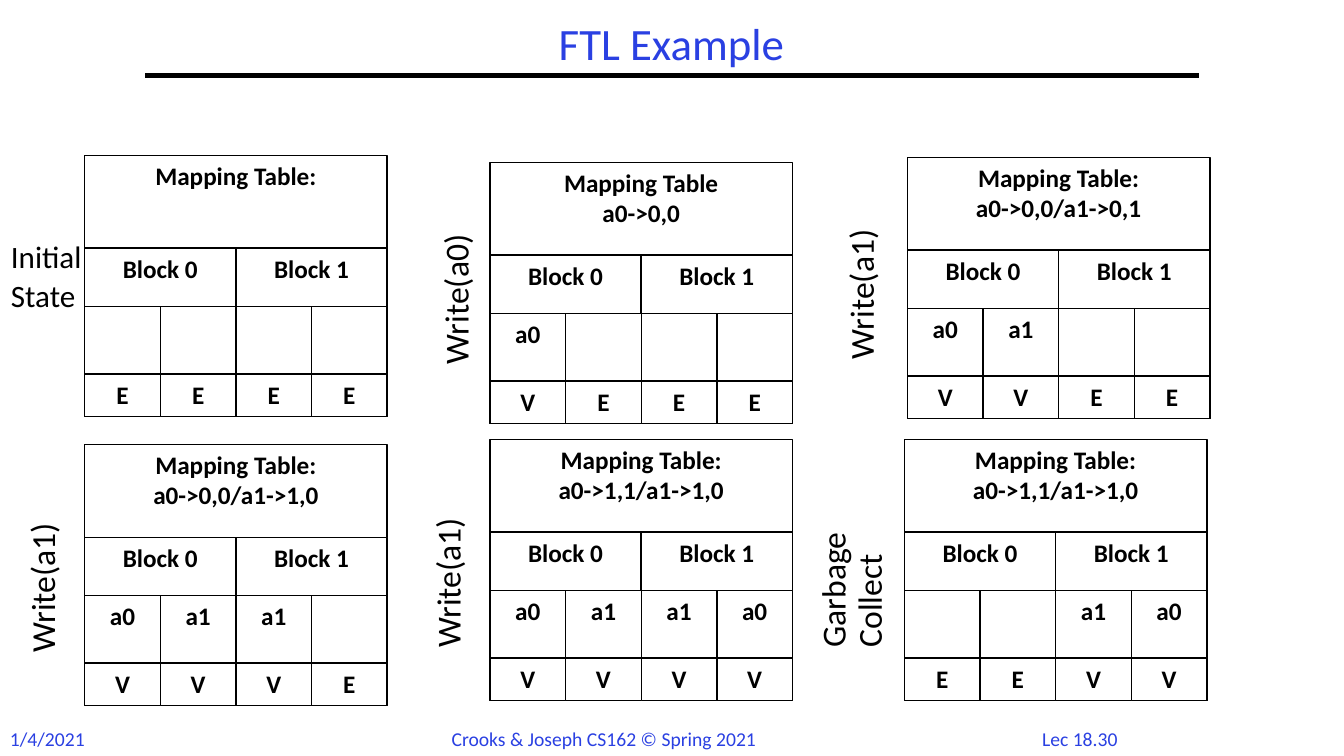
from pptx import Presentation
from pptx.dml.color import RGBColor
from pptx.enum.shapes import MSO_CONNECTOR as Connector, MSO_SHAPE as Shape
from pptx.enum.text import MSO_ANCHOR as Anchor, PP_ALIGN as Align
from pptx.util import Inches, Pt
from lxml import etree

BLUE = RGBColor(0x2A, 0x40, 0xE2)
BLACK = RGBColor(0, 0, 0)
WHITE = RGBColor(255, 255, 255)
FONT = "Calibri"
PAGE_WIDTH, BLOCK_WIDTH = 0.75, 1.5

# Label lines, label left and top, table left and top, mapping, pages, page states
STEPS = [
    (["Initial", "State"], 0.01, 2.38, 0.84, 1.54,
     ["Mapping Table:"], ["", "", "", ""], "EEEE"),
    (["Write(a0)"], 3.97, 2.55, 4.86, 1.61,
     ["Mapping Table", "a0->0,0"], ["a0", "", "", ""], "VEEE"),
    (["Write(a1)"], 7.99, 2.5, 9, 1.56,
     ["Mapping Table:", "a0->0,0/a1->0,1"], ["a0", "a1", "", ""], "VVEE"),
    (["Write(a1)"], -0.13, 5.41, 0.84, 4.41,
     ["Mapping Table:", "a0->0,0/a1->1,0"], ["a0", "a1", "a1", ""], "VVVE"),
    (["Write(a1)"], 3.89, 5.36, 4.86, 4.36,
     ["Mapping Table:", "a0->1,1/a1->1,0"], ["a0", "a1", "a1", "a0"], "VVVV"),
    (["Garbage Collect"], 7.71, 5.36, 8.97, 4.36,
     ["Mapping Table:", "a0->1,1/a1->1,0"], ["", "", "a1", "a0"], "EEVV"),
]


def write(frame, lines, size, color, align=Align.LEFT, bold=False, spacing=None):
    for i, line in enumerate(lines):
        paragraph = frame.paragraphs[0] if i == 0 else frame.add_paragraph()
        paragraph.text = line
        paragraph.alignment = align
        paragraph.line_spacing = spacing
        font = paragraph.font
        font.name, font.size, font.bold = FONT, Pt(size), bold
        font.color.rgb = color


def add_cell(shapes, left, top, width, height, lines):
    cell = shapes.add_shape(Shape.RECTANGLE, Inches(left), Inches(top),
                            Inches(width), Inches(height))
    cell.shadow.inherit = False
    cell.fill.solid()
    cell.fill.fore_color.rgb = WHITE
    cell.line.color.rgb = BLACK
    cell.line.width = Pt(1)
    cell.text_frame.vertical_anchor = Anchor.TOP
    if any(lines):
        write(cell.text_frame, lines, 18, BLACK, Align.CENTER, bold=True)


prs = Presentation()
prs.slide_width, prs.slide_height = Inches(13.33), Inches(7.5)
slide = prs.slides.add_slide(prs.slide_layouts[5])

# Title and rule
title = slide.shapes.title
title.left, title.top = Inches(1.44), Inches(0.17)
title.width, title.height = Inches(10.44), Inches(0.58)
title.text_frame.vertical_anchor = Anchor.MIDDLE
write(title.text_frame, ["FTL Example"], 32, BLUE, Align.CENTER, spacing=0.9)

rule = slide.shapes.add_connector(Connector.STRAIGHT, Inches(1.44), Inches(0.75),
                                  Inches(11.89), Inches(0.75))
rule.line.color.rgb = BLACK
rule.line.width = Pt(3)
etree.SubElement(
    rule.element.spPr,
    "{http://schemas.openxmlformats.org/drawingml/2006/main}effectLst")

# Footer
for text, left, width, align in [
    ("1/4/2021", 0, 0.95, Align.LEFT),
    ("Crooks & Joseph CS162 © Spring 2021", 4.38, 3.25, Align.LEFT),
    ("Lec 18.30", 10.17, 1.08, Align.CENTER),
]:
    footer = slide.shapes.add_textbox(Inches(left), Inches(7.16),
                                      Inches(width), Inches(0.34))
    footer.text_frame.word_wrap = False
    write(footer.text_frame, [text], 14, BLUE, align)

# One group per step: blocks, mapping table, pages with their states, label
for (label_lines, label_left, label_top, left, top,
     mapping, pages, states) in STEPS:
    shapes = slide.shapes.add_group_shape().shapes
    for i in range(2):
        add_cell(shapes, left + i * BLOCK_WIDTH, top + 0.92,
                 BLOCK_WIDTH, 1.67, [f"Block {i}"])
    add_cell(shapes, left, top, 2 * BLOCK_WIDTH, 0.92, mapping)
    for i, (page, state) in enumerate(zip(pages, states)):
        page_left = left + i * PAGE_WIDTH
        add_cell(shapes, page_left, top + 1.5, PAGE_WIDTH, 0.67, [page])
        add_cell(shapes, page_left, top + 2.17, PAGE_WIDTH, 0.42, [state])

    upright = len(label_lines) == 2
    label = shapes.add_textbox(Inches(label_left), Inches(label_top),
                               Inches(0.99 if upright else 1.5), Inches(0.82))
    label.rotation = 0 if upright else 270
    label.text_frame.word_wrap = True
    write(label.text_frame, label_lines, 22.2 if upright else 24, BLACK,
          spacing=0.8 if upright else 0.9)
    for paragraph in label.text_frame.paragraphs[1:]:
        paragraph.space_before = Pt(6.7)

prs.save("out.pptx")
